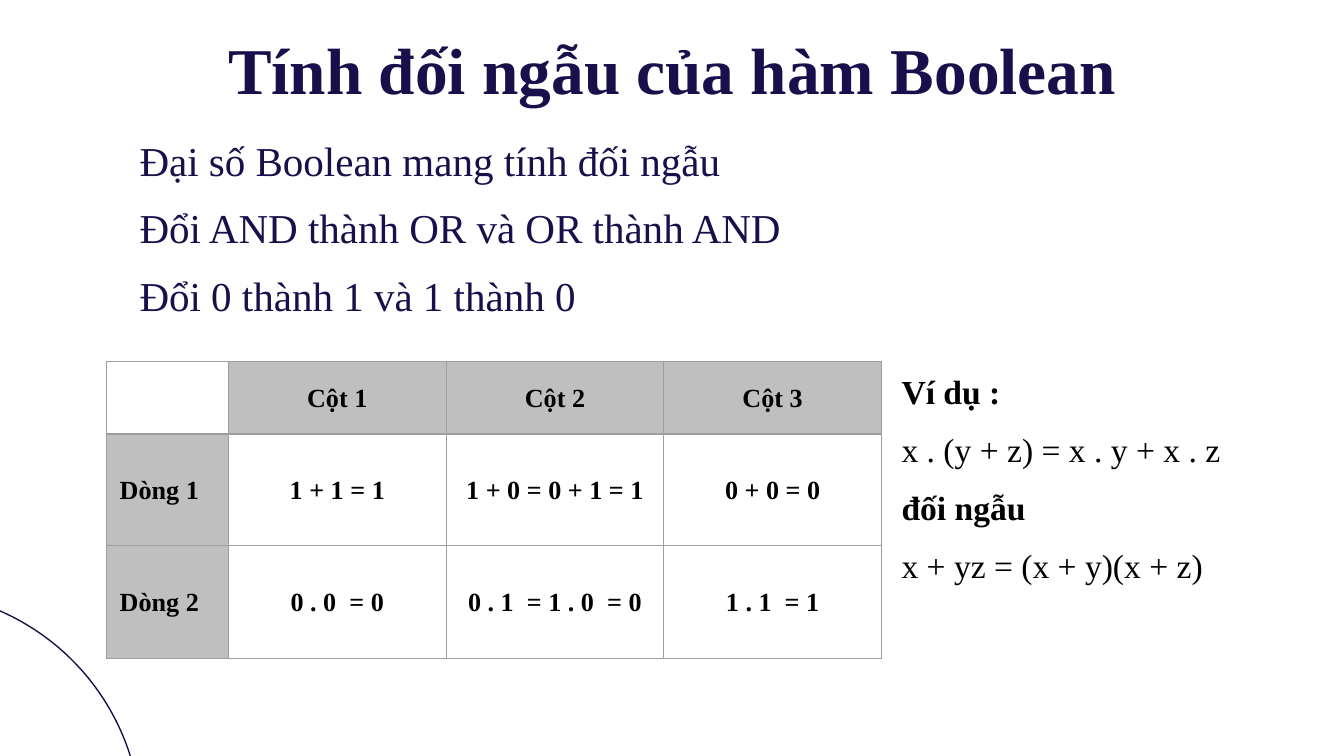
from dataclasses import dataclass

from lxml.etree import SubElement
from pptx import Presentation
from pptx.dml.color import RGBColor
from pptx.enum.shapes import MSO_SHAPE
from pptx.enum.text import MSO_ANCHOR, PP_ALIGN
from pptx.oxml.ns import qn
from pptx.util import Inches, Pt

NAVY = RGBColor(0x1A, 0x0E, 0x4B)
BLACK = RGBColor(0, 0, 0)
GREY = RGBColor(0xBF, 0xBF, 0xBF)
EDGE = RGBColor(0x9E, 0x9E, 0x9E)
FONT = "Times New Roman"


@dataclass
class Style:
    size: float
    color: RGBColor = BLACK
    bold: bool = False
    align: PP_ALIGN = PP_ALIGN.LEFT
    space: float = 1.07
    after: float = 8
    left: float = 0
    first: float = 0


@dataclass
class Block:
    """A text box: place, lines with their styles, and top and bottom inset."""
    left: float
    top: float
    width: float
    height: float
    lines: list[tuple[str, Style]]
    inset: float = 0.05


def write(frame, lines: list[tuple[str, Style]]) -> None:
    for i, (text, style) in enumerate(lines):
        para = frame.add_paragraph() if i else frame.paragraphs[0]
        para.alignment = style.align
        para.line_spacing = style.space
        para.space_after = Pt(style.after)
        if style.left:
            props = para._p.get_or_add_pPr()
            props.set("marL", str(Inches(style.left)))
            props.set("indent", str(Inches(style.first)))
        run = para.add_run()
        run.text = text
        font = run.font
        font.name, font.size, font.bold = FONT, Pt(style.size), style.bold
        font.color.rgb = style.color


def draw_block(slide, block: Block) -> None:
    box = slide.shapes.add_textbox(
        Inches(block.left), Inches(block.top),
        Inches(block.width), Inches(block.height))
    frame = box.text_frame
    frame.word_wrap = True
    frame.margin_top = frame.margin_bottom = Inches(block.inset)
    write(frame, block.lines)


def draw_edge(cell) -> None:
    """Put a thin line on all four sides of a cell; call before filling it."""
    props = cell._tc.get_or_add_tcPr()
    for side in ("lnL", "lnR", "lnT", "lnB"):
        line = SubElement(props, qn(f"a:{side}"), w=str(Pt(0.75)))
        fill = SubElement(line, qn("a:solidFill"))
        SubElement(fill, qn("a:srgbClr"), val=str(EDGE))


def draw_table(slide, rows: list[list[str]]) -> None:
    widths, heights = [0.91] + [1.62] * 3, [0.54, 0.83, 0.84]
    table = slide.shapes.add_table(
        len(rows), len(widths), Inches(0.79), Inches(2.69),
        Inches(sum(widths)), Inches(sum(heights))).table
    table.first_row = table.horz_banding = False
    for col, width in zip(table.columns, widths):
        col.width = Inches(width)
    for row, height in zip(table.rows, heights):
        row.height = Inches(height)
    for r, row in enumerate(rows):
        for c, text in enumerate(row):
            cell = table.cell(r, c)
            draw_edge(cell)
            cell.vertical_anchor = MSO_ANCHOR.MIDDLE
            if text and (r == 0 or c == 0):
                cell.fill.solid()
                cell.fill.fore_color.rgb = GREY
            else:
                cell.fill.background()
            if text:
                align = PP_ALIGN.CENTER if c else PP_ALIGN.LEFT
                write(cell.text_frame, [(text, Style(14, bold=True, align=align))])


def draw_ring(slide) -> None:
    ring = slide.shapes.add_shape(
        MSO_SHAPE.OVAL, Inches(-2.45), Inches(4.4), Inches(3.5), Inches(3.5))
    ring.shadow.inherit = False
    ring.fill.background()
    ring.line.color.rgb = NAVY
    ring.line.width = Pt(0.75)


HEAD = Style(35, NAVY, True, PP_ALIGN.CENTER, space=1, after=0)
RULE = Style(22, NAVY, left=0.5, first=-0.35)
LABEL = Style(18, bold=True)
MATH = Style(18)

BLOCKS = [
    Block(0.79, 0.88, 8.1, 4.2, [
        ("Đại số Boolean mang tính đối ngẫu", RULE),
        ("Đổi AND thành OR và OR thành AND", RULE),
        ("Đổi 0 thành 1 và 1 thành 0", RULE),
    ], inset=0.1),
    Block(0.79, 0.12, 8.43, 0.63,
          [("Tính đối ngẫu của hàm Boolean", HEAD)], inset=0.1),
    Block(6.61, 2.69, 6.23, 1.71, [
        ("Ví dụ :", LABEL),
        ("x . (y + z) = x . y + x . z", MATH),
        ("đối ngẫu", LABEL),
        ("x + yz = (x + y)(x + z)", MATH),
    ]),
]
ROWS = [
    ["", "Cột 1", "Cột 2", "Cột 3"],
    ["Dòng 1", "1 + 1 = 1", "1 + 0 = 0 + 1 = 1", "0 + 0 = 0"],
    ["Dòng 2", "0 . 0  = 0", "0 . 1  = 1 . 0  = 0", "1 . 1  = 1"],
]


def main() -> None:
    deck = Presentation()
    deck.slide_width = Inches(10)
    deck.slide_height = deck.slide_width * 9 // 16
    slide = deck.slides.add_slide(deck.slide_layouts[6])
    draw_ring(slide)
    for block in BLOCKS:
        draw_block(slide, block)
    draw_table(slide, ROWS)
    deck.save("out.pptx")


if __name__ == "__main__":
    main()
